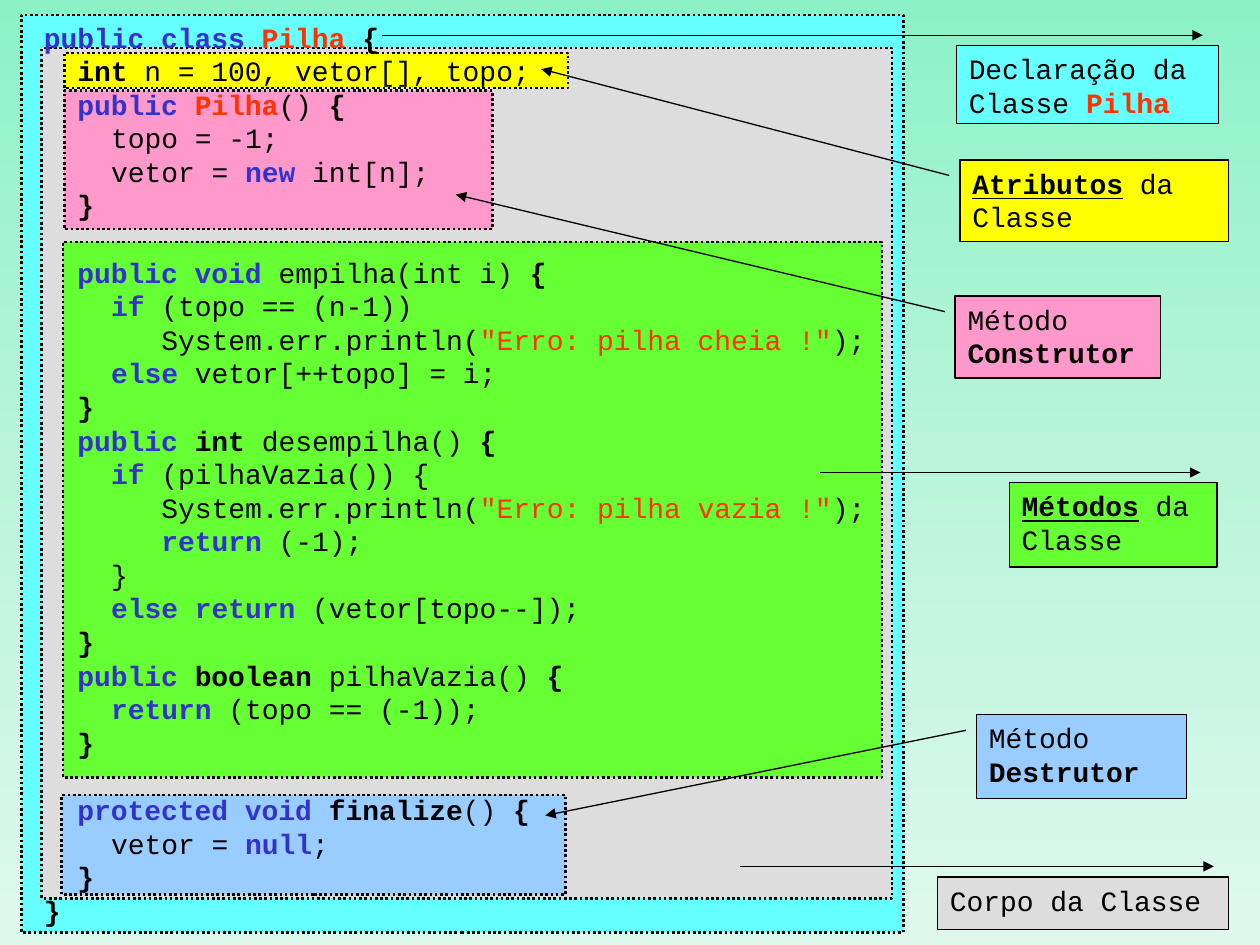
from copy import deepcopy

from pptx import Presentation
from pptx.dml.color import RGBColor
from pptx.enum.dml import MSO_LINE
from pptx.enum.shapes import MSO_SHAPE
from pptx.enum.text import MSO_ANCHOR, PP_ALIGN
from pptx.oxml.ns import qn
from pptx.oxml.xmlchemy import OxmlElement
from pptx.util import Pt

THEME = {
    "background": ("8CF2C6", "BAF5DA", "DEF9EC"),
    "font": "Courier New", "size": 16, "line_height": 19.2, "char_width": 9.6,
    "line": "000000", "panel_line": 1.5, "callout_line": 0.75,
    "class": "66FFFF", "body": "DDDDDD", "methods": "66FF33",
    "attributes": "FFFF00", "constructor": "FF99CC", "destructor": "99CCFF",
}

# Span styles: colour, bold, underline
PLAIN = ("000000", False, False)
BOLD = ("000000", True, False)
UNDER = ("000000", True, True)
KEYWORD = ("3333CC", True, False)
NAME = ("FF3300", True, False)
STRING = ("FF3300", False, False)

# Dotted panels behind the code: part, (left, top, width, height)
PANELS = [
    ("class", (12.2, 8.6, 504, 524.2)),
    ("body", (23.8, 27.4, 486, 486)),
    ("methods", (36, 138.2, 468, 306)),
    ("attributes", (36.7, 30.2, 288, 20.2)),
    ("destructor", (35.3, 454.3, 288, 56.9)),
    ("constructor", (36.7, 51.8, 244.8, 79.2)),
]

# Callouts: part, frame, (y1, x1, y2, x2) of the leader, arrow end, paragraphs
CALLOUTS = [
    ("class", (546.5, 25.9, 149.8, 44.6), (-0.13, 0.94, -0.13, -2.19), "headEnd",
     [[("Declaração da Classe ", PLAIN), ("Pilha", NAME)]]),
    ("body", (535.7, 501.1, 166.3, 30.2), (-0.2, 0.95, -0.2, -0.68), "headEnd",
     [[("Corpo da Classe", PLAIN)]]),
    ("methods", (576.7, 275.8, 118.8, 48.2), (-0.12, 0.92, -0.12, -0.91), "headEnd",
     [[("Métodos", UNDER), (" da Classe", PLAIN)]]),
    ("attributes", (548.6, 91.4, 153.4, 46.8), (0.19, -0.04, -1.11, -1.56), "tailEnd",
     [[("Atributos", UNDER), (" da Classe", PLAIN)]]),
    ("destructor", (558, 408.2, 120.2, 48.2), (0.19, -0.05, 1.2, -2.05), "tailEnd",
     [[("Método ", PLAIN), ("Destrutor", BOLD)]]),
    ("constructor", (545.8, 169.2, 117.4, 46.8), (0.19, -0.05, -1.24, -2.43), "tailEnd",
     [[("Método", PLAIN)], [("Construtor", BOLD)]]),
]

# Code: indent in characters, blank lines above, spans
CODE_FRAME = (18, 7.9, 686.2, 527)
CLOSE = [("}", BOLD)]
CODE = [
    (0, 0, [("public class ", KEYWORD), ("Pilha ", NAME), ("{", BOLD)]),
    (2, 0, [("int", BOLD), (" n = 100, vetor[], topo;", PLAIN)]),
    (2, 0, [("public ", KEYWORD), ("Pilha", NAME), ("() ", PLAIN), ("{", BOLD)]),
    (4, 0, [("topo = -1;", PLAIN)]),
    (4, 0, [("vetor = ", PLAIN), ("new", KEYWORD), (" int[n];", PLAIN)]),
    (2, 0, CLOSE),
    (2, 1, [("public void", KEYWORD), (" empilha(int i) ", PLAIN), ("{", BOLD)]),
    (4, 0, [("if", KEYWORD), (" (topo == (n-1))", PLAIN)]),
    (7, 0, [("System.err.println(", PLAIN), ('"Erro: pilha cheia !"', STRING), (");", PLAIN)]),
    (4, 0, [("else", KEYWORD), (" vetor[++topo] = i;", PLAIN)]),
    (2, 0, CLOSE),
    (2, 0, [("public ", KEYWORD), ("int", BOLD), (" desempilha() ", PLAIN), ("{", BOLD)]),
    (4, 0, [("if", KEYWORD), (" (pilhaVazia()) {", PLAIN)]),
    (7, 0, [("System.err.println(", PLAIN), ('"Erro: pilha vazia !"', STRING), (");", PLAIN)]),
    (7, 0, [("return", KEYWORD), (" (-1);", PLAIN)]),
    (4, 0, [("}", PLAIN)]),
    (4, 0, [("else return", KEYWORD), (" (vetor[topo--]);", PLAIN)]),
    (2, 0, CLOSE),
    (2, 0, [("public ", KEYWORD), ("boolean", BOLD), (" pilhaVazia() ", PLAIN), ("{", BOLD)]),
    (4, 0, [("return", KEYWORD), (" (topo == (-1));", PLAIN)]),
    (2, 0, CLOSE),
    (2, 1, [("protected void ", KEYWORD), ("finalize", BOLD), ("() ", PLAIN), ("{", BOLD)]),
    (4, 0, [("vetor = ", PLAIN), ("null", KEYWORD), (";", PLAIN)]),
    (2, 0, CLOSE),
    (0, 0, CLOSE),
]


def color(name):
    return RGBColor.from_string(name)


def points(frame):
    return [Pt(value) for value in frame]


def paint_background(page):
    fill = page.background.fill
    fill.gradient()
    fill.gradient_angle = 270  # top to bottom
    stops = page.element.find(".//" + qn("a:gsLst"))
    stops.insert(1, deepcopy(stops[0]))
    for index, (stop, name) in enumerate(zip(fill.gradient_stops, THEME["background"])):
        stop.position = index / 2
        stop.color.rgb = color(name)


def add_box(page, kind, part, frame, weight):
    box = page.shapes.add_shape(kind, *points(frame))
    box.shadow.inherit = False
    box.fill.solid()
    box.fill.fore_color.rgb = color(THEME[part])
    box.line.color.rgb = color(THEME["line"])
    box.line.width = Pt(weight)
    return box


def write(box, lines):
    frame = box.text_frame
    frame.word_wrap = True
    frame.vertical_anchor = MSO_ANCHOR.TOP
    for index, (indent, blanks, spans) in enumerate(lines):
        para = frame.paragraphs[0] if index == 0 else frame.add_paragraph()
        para.alignment = PP_ALIGN.LEFT
        para.line_spacing = Pt(THEME["line_height"])
        para.space_before = Pt(blanks * THEME["line_height"])
        para.font.name = THEME["font"]
        para.font.size = Pt(THEME["size"])
        para._p.get_or_add_pPr().set("marL", str(Pt(indent * THEME["char_width"])))
        for text, (name, bold, underline) in spans:
            span = para.add_run()
            span.text = text
            span.font.color.rgb = color(name)
            span.font.bold = bold
            span.font.underline = underline


def add_callout(page, part, frame, leader, arrow_end, paragraphs):
    box = add_box(page, MSO_SHAPE.LINE_CALLOUT_1, part, frame, THEME["callout_line"])
    for index, value in enumerate(leader):
        box.adjustments[index] = value
    arrow = OxmlElement("a:" + arrow_end)
    arrow.set("type", "triangle")
    box.element.spPr.find(qn("a:ln")).append(arrow)
    write(box, [(0, 0, spans) for spans in paragraphs])


def main():
    deck = Presentation()
    deck.slide_width, deck.slide_height = Pt(720), Pt(540)
    page = deck.slides.add_slide(deck.slide_layouts[6])
    paint_background(page)

    # Panels
    for part, frame in PANELS:
        panel = add_box(page, MSO_SHAPE.RECTANGLE, part, frame, THEME["panel_line"])
        panel.line.dash_style = MSO_LINE.ROUND_DOT

    # Callouts with arrows
    for callout in CALLOUTS:
        add_callout(page, *callout)

    # Code listing
    write(page.shapes.add_textbox(*points(CODE_FRAME)), CODE)

    deck.save("out.pptx")


if __name__ == "__main__":
    main()
